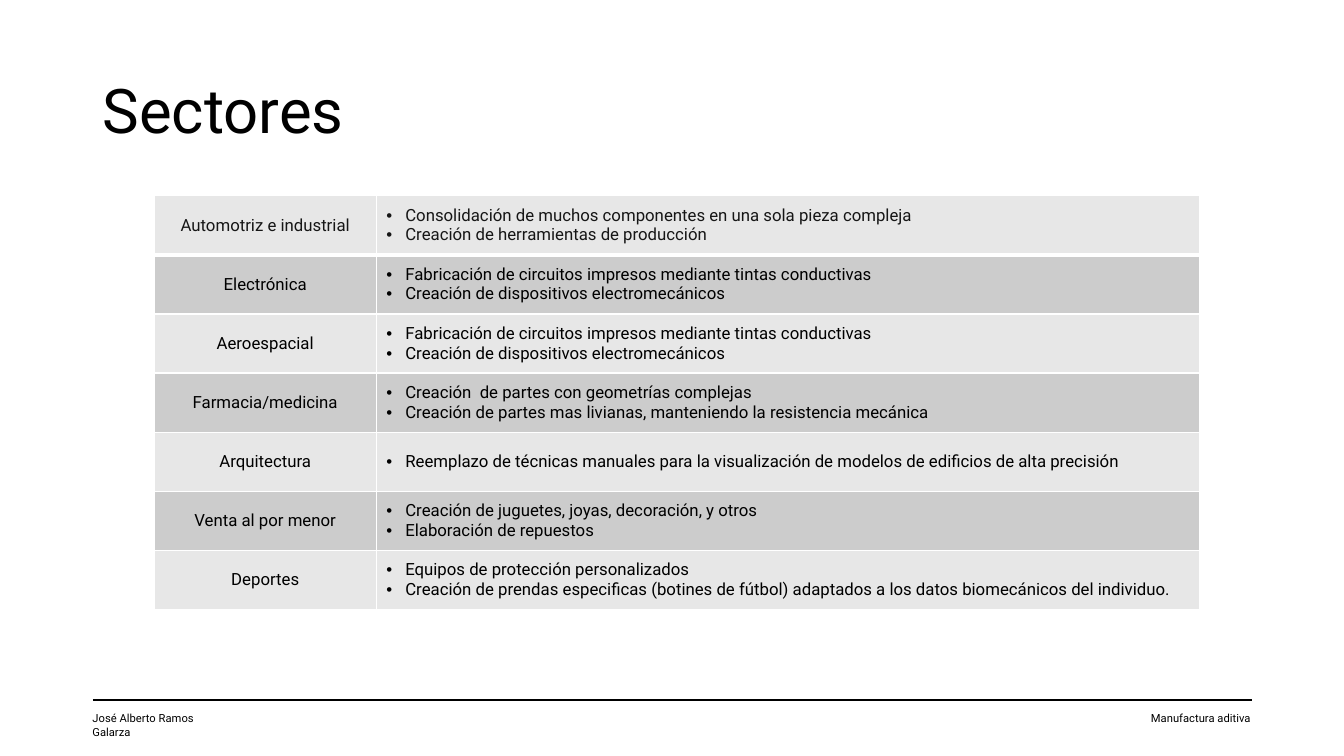
from dataclasses import dataclass

from lxml import etree
from pptx import Presentation
from pptx.dml.color import RGBColor
from pptx.enum.shapes import MSO_CONNECTOR
from pptx.enum.text import MSO_ANCHOR, PP_ALIGN
from pptx.oxml.ns import qn
from pptx.slide import Slide
from pptx.table import _Cell
from pptx.text.text import _Paragraph
from pptx.util import Cm, Pt

LEFT, CENTER, RIGHT = PP_ALIGN.LEFT, PP_ALIGN.CENTER, PP_ALIGN.RIGHT
TOP, MIDDLE = MSO_ANCHOR.TOP, MSO_ANCHOR.MIDDLE
STRAIGHT = MSO_CONNECTOR.STRAIGHT

BLACK = RGBColor(0x00, 0x00, 0x00)
INK = RGBColor(0x16, 0x16, 0x16)
WHITE = RGBColor(0xFF, 0xFF, 0xFF)
LIGHT = RGBColor(0xE7, 0xE7, 0xE7)
DARK = RGBColor(0xCC, 0xCC, 0xCC)
FONT = "Roboto"
HANG = Cm(0.48)
COLS = (5.59, 20.75)
ROW = 1.49


@dataclass(frozen=True)
class Label:
    text: str
    left: float
    top: float
    width: float
    height: float
    size: float
    align: PP_ALIGN = LEFT
    anchor: MSO_ANCHOR = TOP
    space: float = 1.0


@dataclass(frozen=True)
class Sector:
    name: str
    uses: tuple[str, ...]


LABELS = (
    Label("Sectores", 2.34, 1.02, 29.21, 3.68, 44, anchor=MIDDLE, space=0.9),
    Label("José Alberto Ramos Galarza", 2.08, 17.81, 4.06, 0.61, 8),
    Label("Manufactura aditiva", 28.65, 17.81, 3.12, 0.61, 8, RIGHT),
)

CIRCUITS = (
    "Fabricación de circuitos impresos mediante tintas conductivas",
    "Creación de dispositivos electromecánicos",
)
SECTORS = (
    Sector("Automotriz e industrial", (
        "Consolidación de muchos componentes en una sola pieza compleja",
        "Creación de herramientas de producción",
    )),
    Sector("Electrónica", CIRCUITS),
    Sector("Aeroespacial", CIRCUITS),
    Sector("Farmacia/medicina", (
        "Creación  de partes con geometrías complejas",
        "Creación de partes mas livianas, manteniendo la resistencia mecánica",
    )),
    Sector("Arquitectura", (
        "Reemplazo de técnicas manuales para la visualización de modelos "
        "de edificios de alta precisión",
    )),
    Sector("Venta al por menor", (
        "Creación de juguetes, joyas, decoración, y otros",
        "Elaboración de repuestos",
    )),
    Sector("Deportes", (
        "Equipos de protección personalizados",
        "Creación de prendas especificas (botines de fútbol) adaptados "
        "a los datos biomecánicos del individuo.",
    )),
)


def add_run(para: _Paragraph, text: str, size: float, color: RGBColor) -> None:
    run = para.add_run()
    run.text = text
    run.font.name = FONT
    run.font.size = Pt(size)
    run.font.color.rgb = color


def add_label(slide: Slide, label: Label) -> None:
    box = slide.shapes.add_textbox(
        Cm(label.left), Cm(label.top), Cm(label.width), Cm(label.height))
    frame = box.text_frame
    frame.word_wrap = True
    frame.vertical_anchor = label.anchor
    para = frame.paragraphs[0]
    para.alignment = label.align
    para.line_spacing = label.space
    add_run(para, label.text, label.size, BLACK)


def add_rule(slide: Slide) -> None:
    """Draw the line above the footer."""
    rule = slide.shapes.add_connector(
        STRAIGHT, Cm(2.34), Cm(17.63), Cm(31.55), Cm(17.63))
    rule.line.color.rgb = BLACK
    rule.line.width = Pt(1.5)
    etree.SubElement(rule._element.spPr, qn("a:effectLst"))


def set_bullet(para: _Paragraph) -> None:
    props = para._p.get_or_add_pPr()
    props.set("marL", str(HANG))
    props.set("indent", str(-HANG))
    etree.SubElement(props, qn("a:buFont"), typeface="Arial")
    etree.SubElement(props, qn("a:buChar"), char="•")


def set_edges(cell: _Cell, top: float, bottom: float) -> None:
    """Give the cell white borders; widths are in points."""
    props = cell._tc.get_or_add_tcPr()
    widths = {"lnL": 1, "lnR": 1, "lnT": top, "lnB": bottom}
    for place, (tag, width) in enumerate(widths.items()):
        edge = etree.Element(qn(f"a:{tag}"), w=str(Pt(width)))
        fill = etree.SubElement(edge, qn("a:solidFill"))
        etree.SubElement(fill, qn("a:srgbClr"), val=str(WHITE))
        props.insert(place, edge)


def fill_cell(cell: _Cell, lines: tuple[str, ...], row: int, listed: bool) -> None:
    cell.fill.solid()
    cell.fill.fore_color.rgb = DARK if row % 2 else LIGHT
    cell.vertical_anchor = MIDDLE
    set_edges(cell, 3 if row == 1 else 1, 3 if row == 0 else 1)
    frame = cell.text_frame
    for place, line in enumerate(lines):
        para = frame.add_paragraph() if place else frame.paragraphs[0]
        para.alignment = LEFT if listed else CENTER
        if listed:
            set_bullet(para)
        add_run(para, line, 12, BLACK if row else INK)


def add_sectors(slide: Slide) -> None:
    count = len(SECTORS)
    table = slide.shapes.add_table(
        count, len(COLS), Cm(3.89), Cm(4.93), Cm(sum(COLS)), Cm(ROW * count)).table
    table.first_row = False
    table.horz_banding = False
    for col, width in zip(table.columns, COLS):
        col.width = Cm(width)
    for row, sector in enumerate(SECTORS):
        table.rows[row].height = Cm(ROW)
        fill_cell(table.cell(row, 0), (sector.name,), row, False)
        fill_cell(table.cell(row, 1), sector.uses, row, True)


def main() -> None:
    deck = Presentation()
    deck.slide_width, deck.slide_height = Cm(33.87), Cm(19.05)
    slide = deck.slides.add_slide(deck.slide_layouts[6])
    for label in LABELS:
        add_label(slide, label)
    add_rule(slide)
    add_sectors(slide)
    deck.save("out.pptx")


if __name__ == "__main__":
    main()
